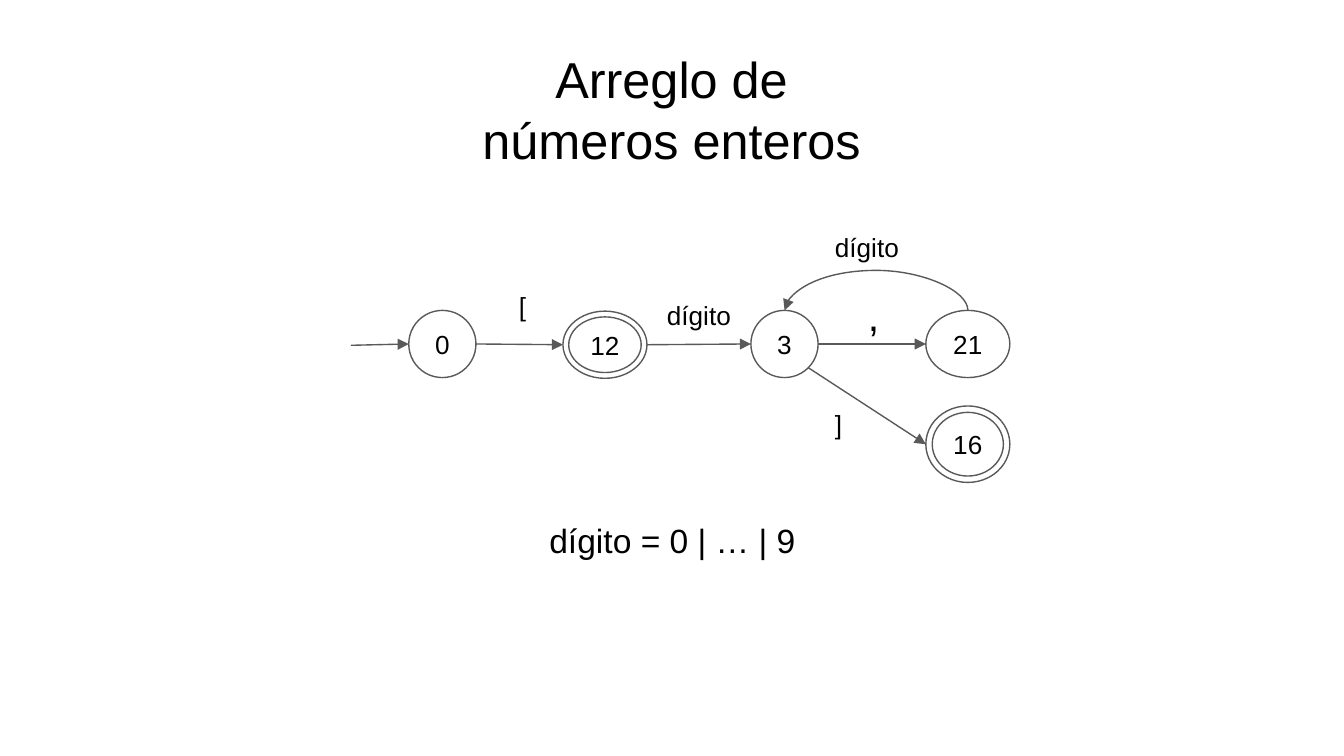
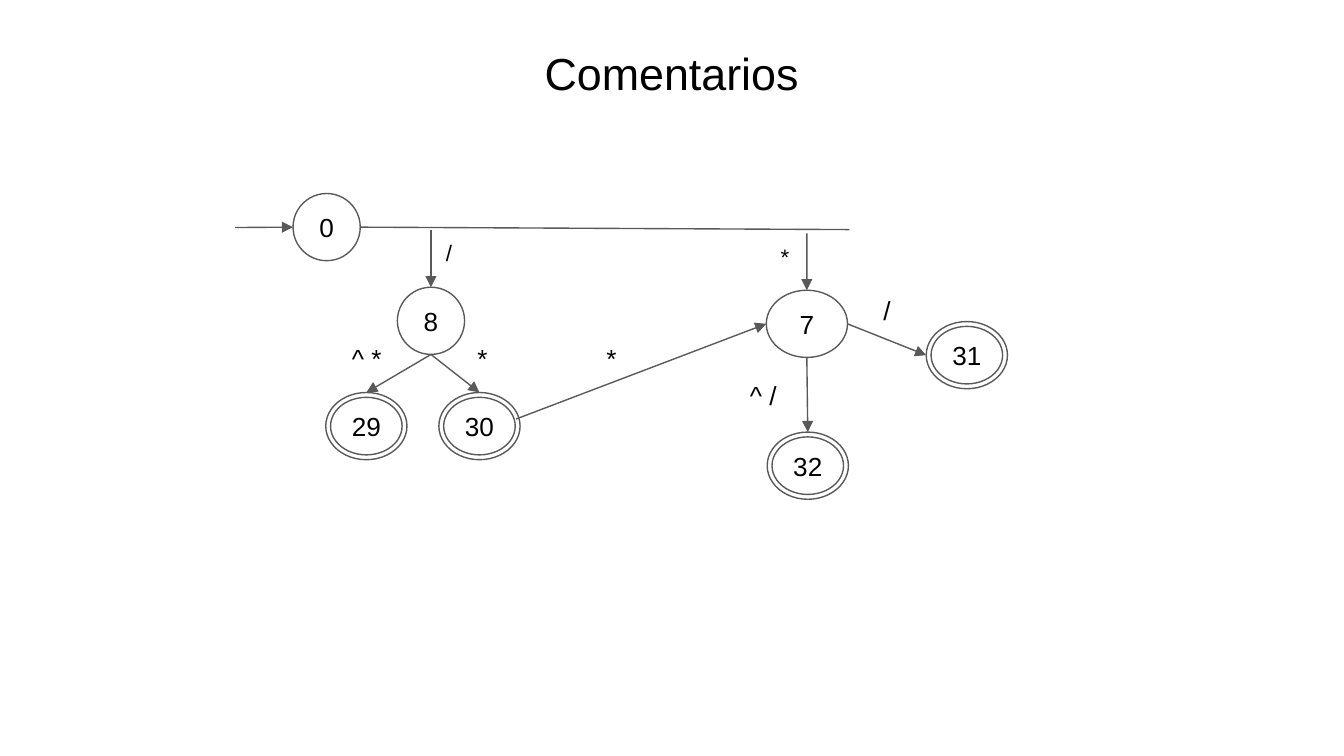
from math import cos, pi, sin

from pptx import Presentation
from pptx.dml.color import RGBColor
from pptx.enum.shapes import MSO_CONNECTOR, MSO_SHAPE
from pptx.enum.text import MSO_ANCHOR, MSO_AUTO_SIZE, PP_ALIGN
from pptx.oxml.ns import qn
from pptx.util import Pt
from lxml.etree import SubElement

FONT, INK, STROKE = "Arial", "000000", "595959"
INSET = 7.2
TOP, LEFT, BOTTOM, BOTTOM_RIGHT, RIGHT = 0, 2, 4, 5, 6
CIRCLE = (36, 36)

ARRAY_STATES = {
    "0": (31, 50.3, *CIRCLE, 0),
    "12": (113.6, 50.7, 45, 36, 0.086),
    "3": (214.3, 50.3, *CIRCLE, 0),
    "21": (308, 50.3, 45, 36, 0),
    "16": (308, 101.5, 45, 41, 0.084),
}
ARRAY_EDGES = [
    ((0, 69), ("0", LEFT)),
    (("0", RIGHT), ("12", LEFT)),
    (("12", RIGHT), ("3", LEFT)),
    (("3", RIGHT), ("21", LEFT)),
    (("3", BOTTOM_RIGHT), ("16", LEFT)),
]
ARRAY_LABELS = [
    ("[", 66.9, 32.3, 50, 14),
    ("dígito", 156.2, 37.4, 60.5, 14),
    (",", 249.8, 32.3, 60.5, 22),
    ("]", 231, 95.7, 60.5, 14),
    ("dígito", 246.2, 0.6, 60.5, 14),
]

DOUBLE = (43.5, 36, 0.072)
COMMENT_STATES = {
    "0": (31, 0.2, *CIRCLE, 0),
    "8": (86.9, 50.4, *CIRCLE, 0),
    "7": (284.5, 52, 43.5, 36, 0),
    "29": (48.5, 106.8, *DOUBLE),
    "30": (109.1, 106.8, *DOUBLE),
    "31": (370.2, 68.8, *DOUBLE),
    "32": (285, 128, *DOUBLE),
}
COMMENT_EDGES = [
    ((0, 18.4), ("0", LEFT)),
    ((104.9, 19.6), ("8", TOP)),
    ((306.3, 21.5), ("7", TOP)),
    (("8", BOTTOM), ("29", TOP)),
    (("8", BOTTOM), ("30", TOP)),
    ((150.5, 121), ("7", LEFT)),
    (("7", RIGHT), ("31", LEFT)),
    (("7", BOTTOM), ("32", TOP)),
]
COMMENT_LABELS = [
    ("/", 95.8, 17.4, 37.4, 12),
    ("*", 275.8, 19.8, 37.4, 12),
    ("^ *", 51.8, 72.9, 37.4, 14),
    ("*", 113.8, 72.9, 37.4, 14),
    ("*", 182.9, 72.9, 37.4, 14),
    ("/", 330.5, 47, 37.4, 14),
    ("^ /", 264.2, 92.4, 37.4, 14),
]


def color(value):
    """Turn a hex string into a colour."""
    return RGBColor.from_string(value)


def write(sp, text, size, anchor=MSO_ANCHOR.TOP):
    """Put centred text in a shape."""
    tf = sp.text_frame
    tf.word_wrap = True
    tf.auto_size = MSO_AUTO_SIZE.NONE
    tf.vertical_anchor = anchor
    tf.margin_left = tf.margin_right = tf.margin_top = tf.margin_bottom = Pt(INSET)
    p = tf.paragraphs[0]
    p.text = text
    p.alignment = PP_ALIGN.CENTER
    p.font.name, p.font.size = FONT, Pt(size)
    p.font.color.rgb = color(INK)


def add_title(s, text, size, box):
    """Place and format the title placeholder."""
    sp = s.shapes.title
    sp.left, sp.top, sp.width, sp.height = map(Pt, box)
    write(sp, text, size)


def add_label(s, text, x, y, w, size):
    """Add a one-line text box."""
    sp = s.shapes.add_textbox(Pt(x), Pt(y), Pt(w), Pt(size * 1.2 + 2 * INSET))
    write(sp, text, size)


def add_state(s, name, x, y, w, h, ring):
    """Add a state; a ring marks an accepting one."""
    kind = MSO_SHAPE.DONUT if ring else MSO_SHAPE.OVAL
    sp = s.shapes.add_shape(kind, Pt(x), Pt(y), Pt(w), Pt(h))
    if ring:
        sp.adjustments[0] = ring
    sp.shadow.inherit = False
    sp.fill.background()
    sp.line.color.rgb = color(STROKE)
    sp.line.width = Pt(0.75)
    write(sp, name, 14, MSO_ANCHOR.MIDDLE)
    return sp


def style_line(c, arrow=True):
    """Give a connector its stroke and arrowhead."""
    c.line.color.rgb = color(STROKE)
    c.line.width = Pt(0.75)
    if arrow:
        SubElement(c.line._get_or_add_ln(), qn("a:tailEnd"), type="triangle")
    SubElement(c._element.spPr, qn("a:effectLst"))


def site_point(sp, site):
    """Find one of the eight connection sites of an oval."""
    angle = site * pi / 4
    return (int(sp.left + sp.width / 2 * (1 - sin(angle))),
            int(sp.top + sp.height / 2 * (1 - cos(angle))))


def add_edge(s, states, origin, start, end, arrow=True):
    """Draw a straight line between states or free points."""
    points = [site_point(states[a], b) if a in states
              else (Pt(origin[0] + a), Pt(origin[1] + b))
              for a, b in (start, end)]
    c = s.shapes.add_connector(MSO_CONNECTOR.STRAIGHT, *points[0], *points[1])
    joins = ((start, c.begin_connect, "stCxn"), (end, c.end_connect, "endCxn"))
    for (name, site), connect, tag in joins:
        if name in states:
            connect(states[name], 0)
            c._element.xpath(f".//a:{tag}")[0].set("idx", str(site))
    (c.begin_x, c.begin_y), (c.end_x, c.end_y) = points
    style_line(c, arrow)


def add_loop(s, source, target, rise):
    """Curve back over the top from one state to another."""
    x1, y = site_point(source, TOP)
    x2 = site_point(target, TOP)[0]
    c = s.shapes.add_connector(MSO_CONNECTOR.CURVE, x1, y, x2, y)
    c.begin_connect(source, 0)
    c.end_connect(target, 0)
    span, depth = x1 - x2, Pt(0.05)
    c.left, c.top = (x1 + x2 - depth) // 2, y - span // 2
    c.width, c.height = depth, span
    xfrm = c._element.spPr.find(qn("a:xfrm"))
    xfrm.attrib.pop("flipH", None)
    xfrm.attrib.pop("flipV", None)
    xfrm.set("rot", "5400000")
    guides = c._element.spPr.find(qn("a:prstGeom")).get_or_add_avLst()
    SubElement(guides, qn("a:gd"), name="adj1",
               fmla=f"val {-round(Pt(rise) / depth * 100000)}")
    style_line(c)


def add_automaton(s, origin, states, edges, labels):
    """Draw states, edges and labels from an origin and return the states."""
    x0, y0 = origin
    shapes = {name: add_state(s, name, x0 + x, y0 + y, *rest)
              for name, (x, y, *rest) in states.items()}
    for start, end in edges:
        add_edge(s, shapes, origin, start, end)
    for text, x, y, *rest in labels:
        add_label(s, text, x0 + x, y0 + y, *rest)
    return shapes


def array_slide(s, origin):
    """Build the slide on integer arrays."""
    add_title(s, "Arreglo de números enteros", 27, (235.5, 18.7, 248.5, 80))
    states = add_automaton(s, origin, ARRAY_STATES, ARRAY_EDGES, ARRAY_LABELS)
    add_loop(s, states["21"], states["3"], 18.9)
    add_label(s, "dígito = 0 | … | 9", origin[0] - 34, origin[1] + 155.4, 412.5, 18)


def comment_slide(s, origin):
    """Build the slide on comments."""
    add_title(s, "Comentarios", 24, (180, 17.3, 359.5, 44))
    states = add_automaton(s, origin, COMMENT_STATES, COMMENT_EDGES, COMMENT_LABELS)
    add_edge(s, states, origin, ("0", RIGHT), (329, 19.5), arrow=False)


def main():
    """Build and save the deck."""
    prs = Presentation()
    prs.slide_width, prs.slide_height = Pt(720), Pt(405)
    for build, origin in ((array_slide, (188, 116)), (comment_slide, (126, 103.5))):
        build(prs.slides.add_slide(prs.slide_layouts[5]), origin)
    prs.save("out.pptx")


if __name__ == "__main__":
    main()
